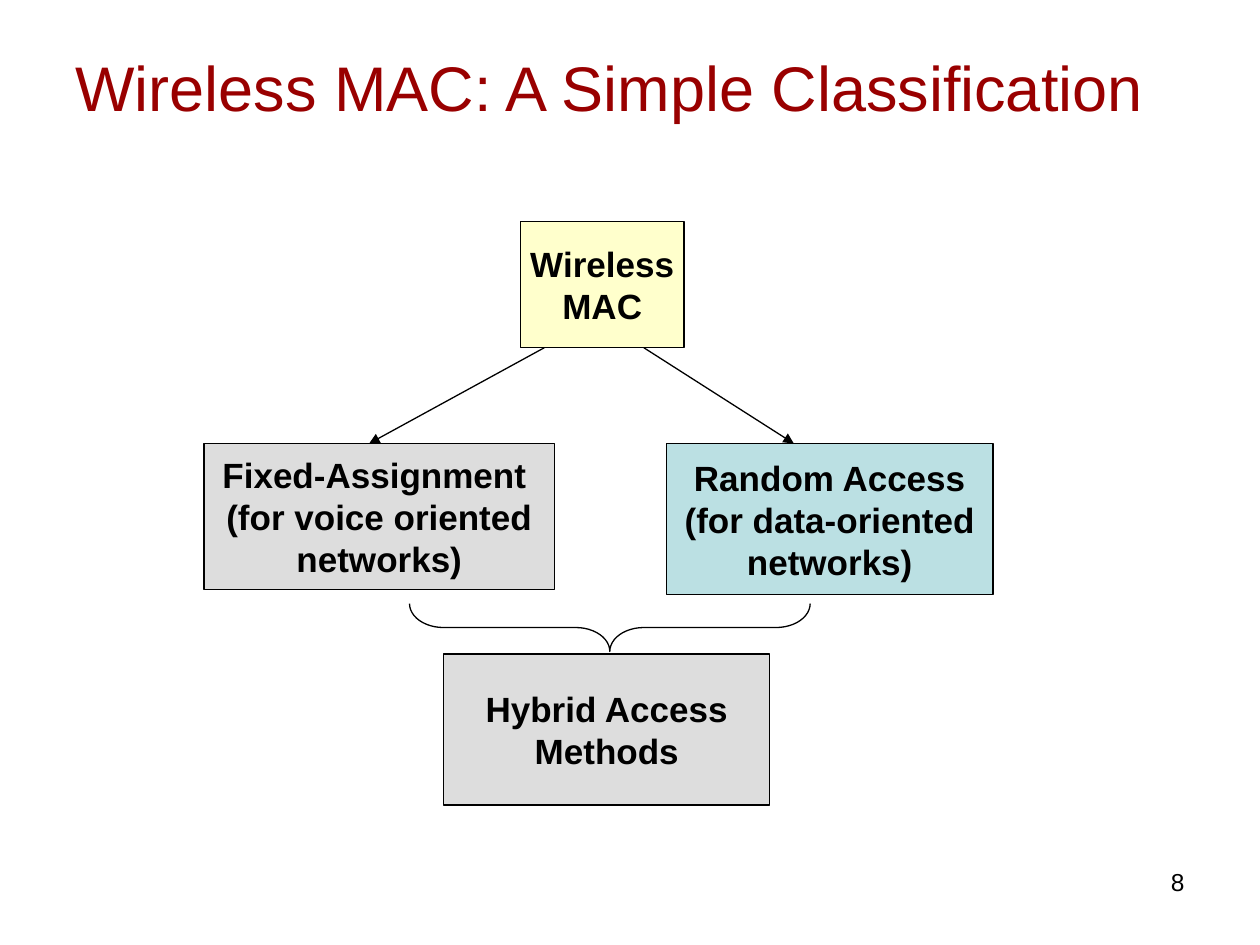
"""Build the slide that classifies wireless MAC methods."""
import lxml.etree
import pptx
import pptx.dml.color
import pptx.enum.shapes
import pptx.enum.text
import pptx.oxml.ns
import pptx.util

Inches = pptx.util.Inches
Pt = pptx.util.Pt
SHAPES = pptx.enum.shapes.MSO_SHAPE
ALIGN = pptx.enum.text.PP_ALIGN
ANCHOR = pptx.enum.text.MSO_ANCHOR


def color(value):
    return pptx.dml.color.RGBColor.from_string(value)


def write(shape, text, size, text_color, alignment, anchor, bold=False):
    text_frame = shape.text_frame
    text_frame.word_wrap = True
    text_frame.vertical_anchor = anchor
    text_frame.text = text
    for paragraph in text_frame.paragraphs:
        paragraph.alignment = alignment
        for run in paragraph.runs:
            run.font.name = "Arial"
            run.font.size = Pt(size)
            run.font.bold = bold
            run.font.color.rgb = color(text_color)


presentation = pptx.Presentation()
presentation.slide_width = Inches(10)
presentation.slide_height = Inches(7.5)
slide = presentation.slides.add_slide(presentation.slide_layouts[6])

labels = [
    ("8", 7.17, 6.83, 2.33, 0.52, 14, "000000", ALIGN.RIGHT, ANCHOR.TOP),
    ("Wireless MAC: A Simple Classification", 0.5, 0.17, 9, 1.03, 36, "990000", ALIGN.LEFT, ANCHOR.MIDDLE),
]
for text, left, top, width, height, size, text_color, alignment, anchor in labels:
    label = slide.shapes.add_textbox(Inches(left), Inches(top), Inches(width), Inches(height))
    write(label, text, size, text_color, alignment, anchor)

boxes = [
    ("Wireless\nMAC", 4.13, 1.76, 1.3, 1, "FFFFCC", False),
    ("Fixed-Assignment \n(for voice oriented networks)", 1.62, 3.52, 2.78, 1.16, "DDDDDD", True),
    ("Random Access\n(for data-oriented networks)", 5.29, 3.52, 2.59, 1.2, "BBE0E3", True),
    ("Hybrid Access Methods", 3.52, 5.19, 2.59, 1.2, "DDDDDD", True),
]
for text, left, top, width, height, fill_color, wrap in boxes:
    box = slide.shapes.add_shape(
        SHAPES.RECTANGLE, Inches(left), Inches(top), Inches(width), Inches(height))
    box.shadow.inherit = False
    box.fill.solid()
    box.fill.fore_color.rgb = color(fill_color)
    box.line.color.rgb = color("000000")
    box.line.width = Pt(0.75)
    write(box, text, 20, "000000", ALIGN.CENTER, ANCHOR.MIDDLE, bold=True)
    box.text_frame.word_wrap = wrap

for start, end in [(4.32, 2.93), (5.11, 6.3)]:
    arrow = slide.shapes.add_connector(
        pptx.enum.shapes.MSO_CONNECTOR.STRAIGHT,
        Inches(start), Inches(2.76), Inches(end), Inches(3.52))
    arrow.line.color.rgb = color("000000")
    arrow.line.width = Pt(0.75)
    properties = arrow._element.spPr
    line = properties.find(pptx.oxml.ns.qn("a:ln"))
    lxml.etree.SubElement(line, pptx.oxml.ns.qn("a:tailEnd"), type="triangle")
    lxml.etree.SubElement(properties, pptx.oxml.ns.qn("a:effectLst"))

brace = slide.shapes.add_shape(
    SHAPES.LEFT_BRACE, Inches(4.65), Inches(3.39), Inches(0.38), Inches(3.18))
brace.rotation = 270
brace.adjustments[0] = 0.71
brace.adjustments[1] = 0.5
brace.shadow.inherit = False
brace.fill.background()
brace.line.color.rgb = color("000000")
brace.line.width = Pt(0.75)

presentation.save("out.pptx")
